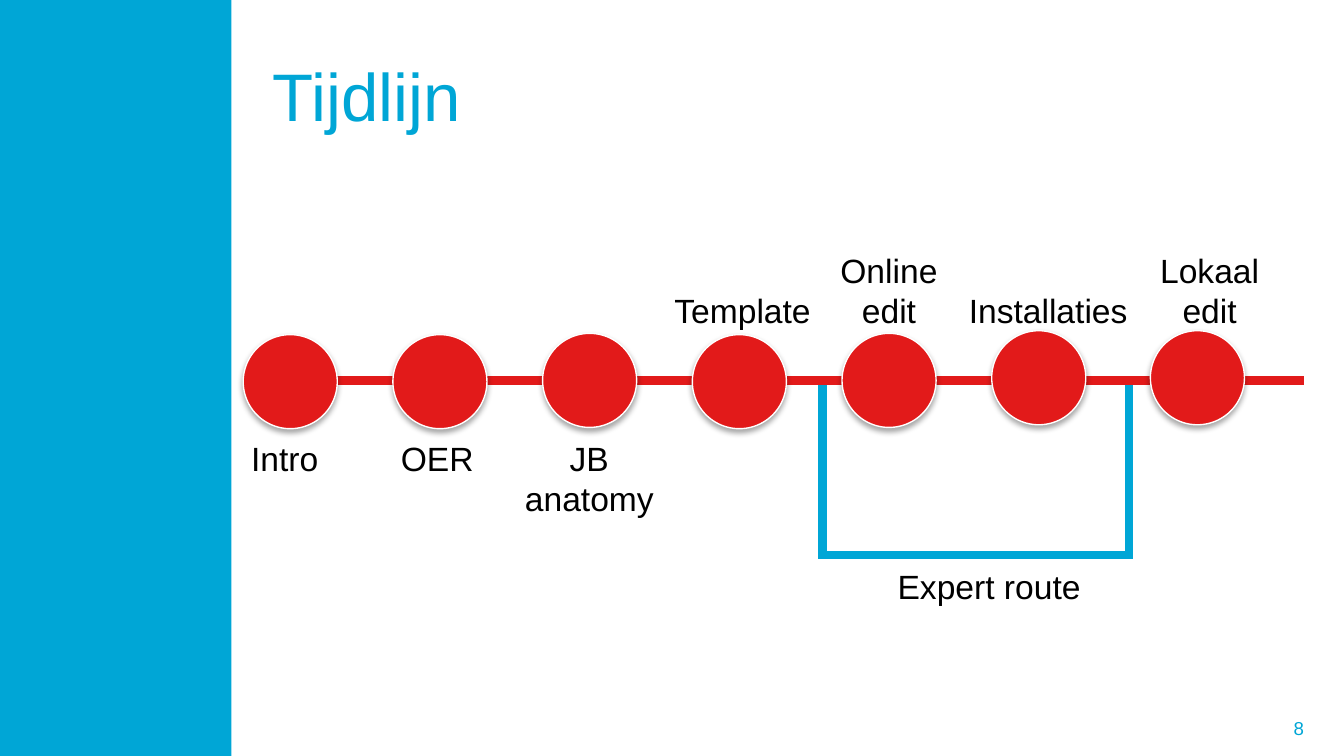
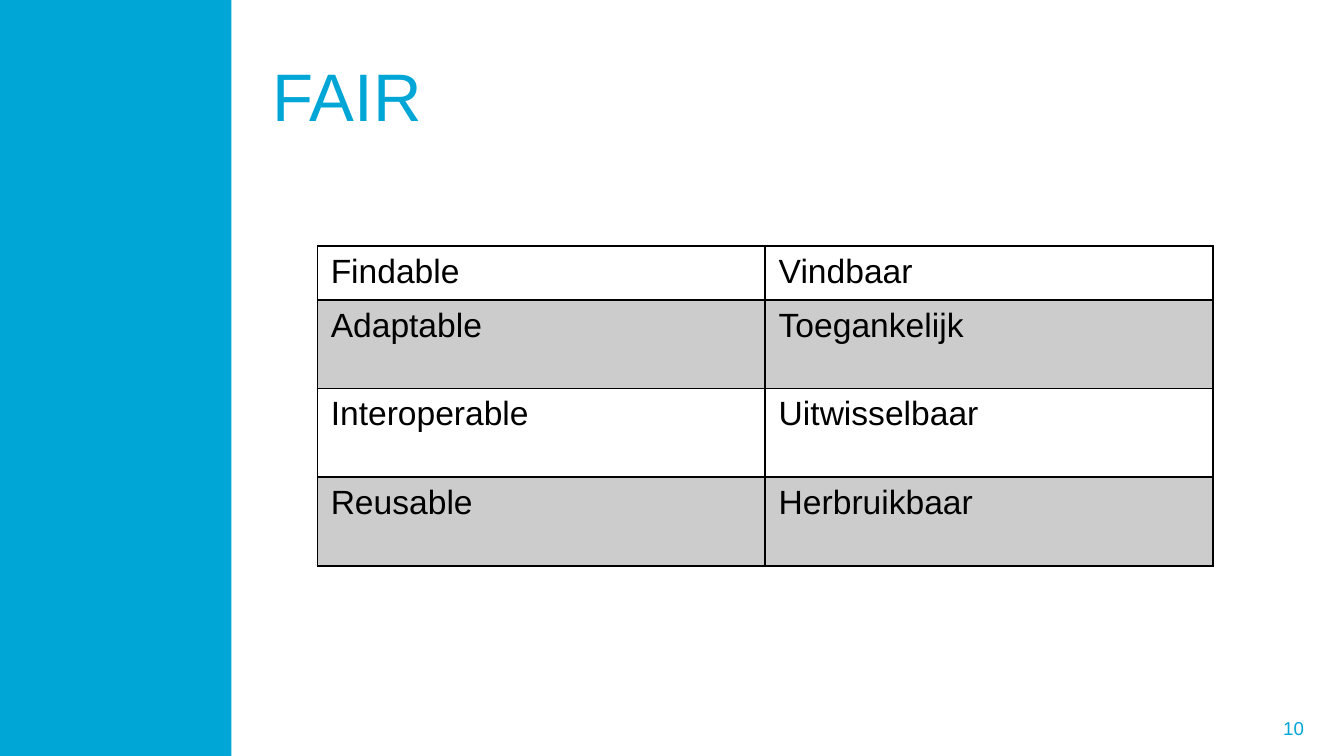
from lxml.etree import SubElement
from pptx import Presentation
from pptx.dml.color import RGBColor
from pptx.enum.shapes import MSO_CONNECTOR, MSO_SHAPE
from pptx.enum.text import MSO_ANCHOR, MSO_AUTO_SIZE, PP_ALIGN
from pptx.oxml.ns import qn
from pptx.util import Pt

CYAN, RED, BLACK, WHITE = "00A6D6", "E21A1A", "000000", "FFFFFF"
SLIDE_WIDTH, SLIDE_HEIGHT = 720, 405

TITLE = {"size": Pt(36), "name": "Arial", "color": CYAN}
FOOTER = {"size": Pt(10), "name": "Arial", "color": CYAN}
BODY = {"size": Pt(18), "name": "Arial", "color": BLACK}

BAND_BOX = (0, 0, 124, SLIDE_HEIGHT)
TITLE_BOX = (139, 16.6, 559.4, 67.7)
NUMBER_BOX = (523.4, 379.4, 182.2, 21.6)


def color(hex_string):
    return RGBColor.from_string(hex_string)


def points(*lengths):
    return [Pt(length) for length in lengths]


def set_font(font, style):
    for name, value in style.items():
        if name == "color":
            font.color.rgb = color(value)
        else:
            setattr(font, name, value)


def add_text(slide, box, lines, style, align=PP_ALIGN.LEFT, **frame_format):
    text_frame = slide.shapes.add_textbox(*points(*box)).text_frame
    for name, value in {"word_wrap": True, **frame_format}.items():
        setattr(text_frame, name, value)
    text_frame.text = lines
    for paragraph in text_frame.paragraphs:
        paragraph.alignment = align
        set_font(paragraph.font, style)
        for run in paragraph.runs:
            set_font(run.font, style)


def add_label(slide, box, lines, align=PP_ALIGN.LEFT):
    add_text(slide, box, lines, BODY, align, auto_size=MSO_AUTO_SIZE.SHAPE_TO_FIT_TEXT)


def add_line(slide, start, end, line_color):
    connector = slide.shapes.add_connector(
        MSO_CONNECTOR.STRAIGHT, *points(*start, *end))
    connector.line.color.rgb = color(line_color)
    connector.line.width = Pt(4.5)
    SubElement(connector._element.spPr, qn("a:effectLst"))


def add_frame(presentation, title, number):
    """Add a slide with the side band, title and slide number."""
    slide = presentation.slides.add_slide(presentation.slide_layouts[6])
    band = slide.shapes.add_shape(MSO_SHAPE.RECTANGLE, *points(*BAND_BOX))
    band.shadow.inherit = False
    band.fill.solid()
    band.fill.fore_color.rgb = color(CYAN)
    band.line.fill.background()
    middle = {"vertical_anchor": MSO_ANCHOR.MIDDLE}
    add_text(slide, NUMBER_BOX, number, FOOTER, PP_ALIGN.RIGHT, **middle)
    add_text(slide, TITLE_BOX, title, TITLE, **middle)
    return slide


def add_milestone(slide, left, top, size=50.4):
    circle = slide.shapes.add_shape(MSO_SHAPE.OVAL, *points(left, top, size, size))
    circle.fill.solid()
    circle.fill.fore_color.rgb = color(RED)
    circle.line.color.rgb = color(WHITE)
    circle.line.width = Pt(0.75)
    # Soft shadow straight below the circle
    circle.shadow.inherit = False
    effects = circle._element.spPr.find(qn("a:effectLst"))
    shadow = SubElement(effects, qn("a:outerShdw"), blurRad=str(Pt(3.1)),
                        dist=str(Pt(1.8)), dir="5400000", rotWithShape="0")
    shadow_color = SubElement(shadow, qn("a:srgbClr"), val=BLACK)
    SubElement(shadow_color, qn("a:alpha"), val="35000")


def add_expert_route(slide, left, top, width, height):
    right, bottom = left + width, top + height
    overlap = 2.2
    for x in (left, right):
        add_line(slide, (x, top), (x, bottom + overlap), CYAN)
    add_line(slide, (left - overlap, bottom), (right, bottom), CYAN)
    add_label(slide, (left + 33.2, bottom + 2.2, 117.4, 29), "Expert route")


def add_timeline(slide, left, top, width):
    center = PP_ALIGN.CENTER
    pitch = 80.2
    above, tall_above, below = 21.6, 0, 100.8
    # Circle left and top; label offset from the circle, top, width, text, alignment
    milestones = [
        (0, 49, -2.9, below, 53.5, "Intro", PP_ALIGN.LEFT),
        (pitch, 49, -2.9, below, 54, "OER", PP_ALIGN.LEFT),
        (2 * pitch, 48.3, -34.4, below, 118.8, "JB\nanatomy", center),
        (3 * pitch, 49, -16.7, above, 118.8, "Template", PP_ALIGN.LEFT),
        (4 * pitch, 48.3, -10.5, tall_above, 71.3, "Online\nedit", center),
        (5 * pitch, 46.9, -19.4, above, 118.8, "Installaties", PP_ALIGN.LEFT),
        (486, 46.9, -32.4, tall_above, 128.2, "Lokaal\nedit", center),
    ]
    axis = top + 73.5
    add_expert_route(slide, left + 310.3, axis + 0.7, 164.2, 92.9)
    add_line(slide, (left + 25.2, axis), (left + width, axis), RED)
    for x, y, offset, label_top, label_width, text, align in milestones:
        add_milestone(slide, left + x, top + y)
        label_height = 51 if "\n" in text else 29
        label_box = (left + x + offset, top + label_top, label_width, label_height)
        add_label(slide, label_box, text, align)


def format_cell(cell, text, shaded):
    properties = cell._tc.get_or_add_tcPr()
    # Borders come before the fill
    for side in ("a:lnL", "a:lnR", "a:lnT", "a:lnB"):
        border = SubElement(properties, qn(side), w=str(Pt(1)))
        border_fill = SubElement(border, qn("a:solidFill"))
        SubElement(border_fill, qn("a:srgbClr"), val=BLACK)
    if shaded:
        cell.fill.solid()
        cell.fill.fore_color.rgb = color(BLACK)
        fill_color = properties.find(qn("a:solidFill")).find(qn("a:srgbClr"))
        SubElement(fill_color, qn("a:alpha"), val="20000")
    else:
        cell.fill.background()
    cell.text = text
    set_font(cell.text_frame.paragraphs[0].runs[0].font, BODY)


def add_fair_table(slide, left, top, width, height):
    terms = [
        ("Findable", "Vindbaar"),
        ("Adaptable", "Toegankelijk"),
        ("Interoperable", "Uitwisselbaar"),
        ("Reusable", "Herbruikbaar"),
    ]
    table = slide.shapes.add_table(
        len(terms), 2, *points(left, top, width, height)).table
    table.first_row = table.horz_banding = False
    for column in table.columns:
        column.width = Pt(width / 2)
    first_height = 27.4
    for index, (row, texts) in enumerate(zip(table.rows, terms)):
        row.height = Pt((height - first_height) / 3 if index else first_height)
        for cell, text in zip(row.cells, texts):
            format_cell(cell, text, shaded=index % 2 == 1)


def main():
    presentation = Presentation()
    presentation.slide_width, presentation.slide_height = points(
        SLIDE_WIDTH, SLIDE_HEIGHT)
    add_timeline(add_frame(presentation, "Tijdlijn", "8"), 130.3, 130.3, 568.1)
    add_fair_table(add_frame(presentation, "FAIR", "10"), 170, 131.8, 480, 170)
    presentation.save("out.pptx")


if __name__ == "__main__":
    main()
